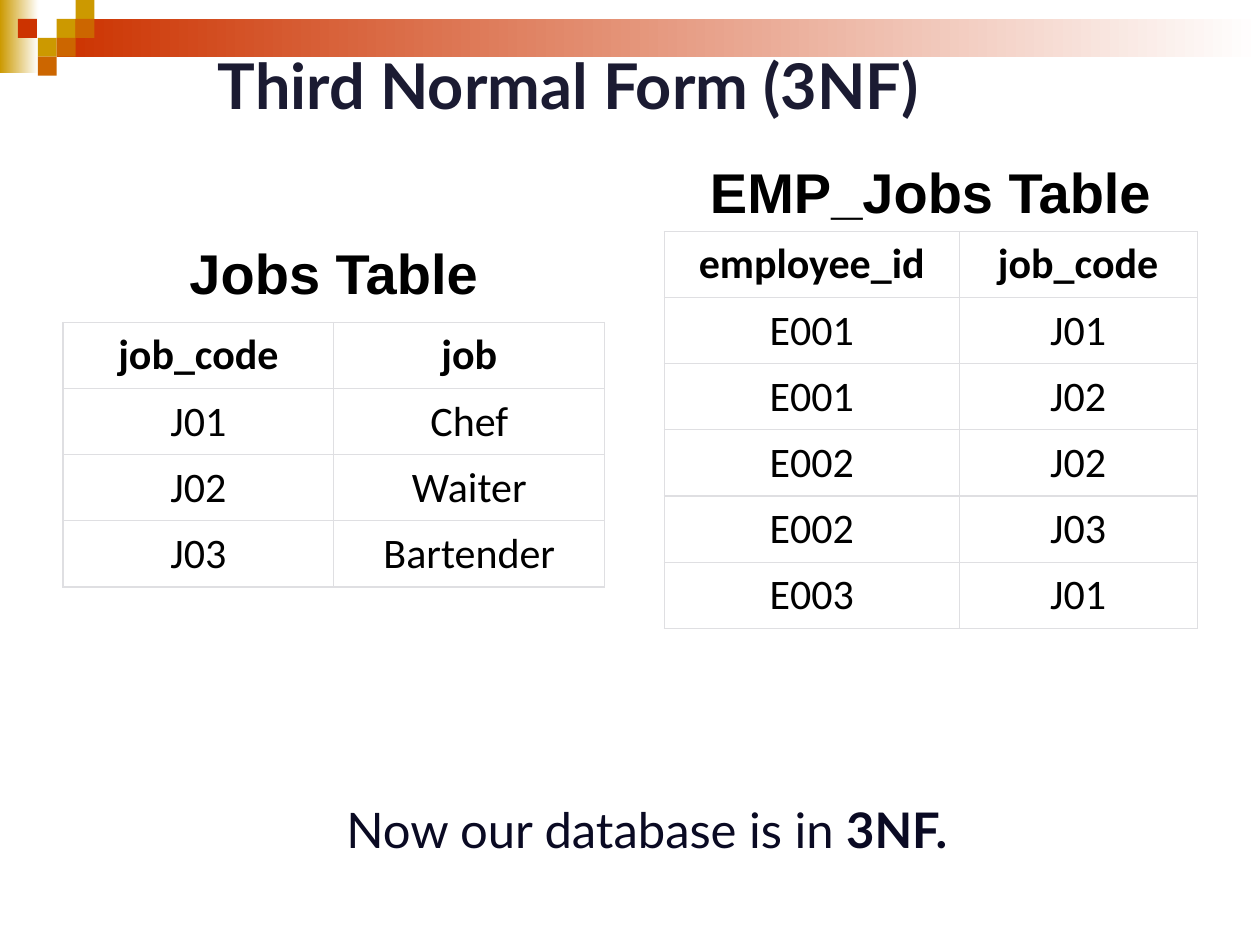
import pptx
import pptx.util
import pptx.dml.color
import pptx.enum.shapes
import pptx.enum.text
import pptx.oxml
import pptx.oxml.ns

Pt = pptx.util.Pt
RGBColor = pptx.dml.color.RGBColor
ALIGN = pptx.enum.text.PP_ALIGN

WHITE = RGBColor(0xFF, 0xFF, 0xFF)
BLACK = RGBColor(0x00, 0x00, 0x00)
GOLD = RGBColor(0xCC, 0x99, 0x00)
RED = RGBColor(0xCC, 0x33, 0x00)
ORANGE = RGBColor(0xCC, 0x66, 0x00)
TITLE_INK = RGBColor(0x1B, 0x1B, 0x32)
NOTE_INK = RGBColor(0x0A, 0x0A, 0x23)
BORDER = RGBColor(0xDF, 0xDF, 0xE2)

JOBS = [
    ("job_code", "job"),
    ("J01", "Chef"),
    ("J02", "Waiter"),
    ("J03", "Bartender"),
]
EMP_JOBS = [
    ("employee_id", "job_code"),
    ("E001", "J01"),
    ("E001", "J02"),
    ("E002", "J02"),
    ("E002", "J03"),
    ("E003", "J01"),
]


def add_block(s, x, y, w, h, color, fade=False):
    sp = s.shapes.add_shape(
        pptx.enum.shapes.MSO_SHAPE.RECTANGLE, Pt(x), Pt(y), Pt(w), Pt(h))
    sp.shadow.inherit = False
    sp.line.fill.background()
    if fade:
        sp.fill.gradient()
        sp.fill.gradient_angle = 0
        for stop, (position, tone) in zip(
                sp.fill.gradient_stops, ((0, color), (1, WHITE))):
            stop.position = position
            stop.color.rgb = tone
    else:
        sp.fill.solid()
        sp.fill.fore_color.rgb = color


def add_banner(s, x, y, w):
    side = 10.8
    add_block(s, x, y, 22, 42, GOLD, fade=True)
    add_block(s, x + 3 * side, y + side, w - 3 * side, 2 * side, RED, fade=True)
    squares = [
        (3, 1, GOLD), (4, 0, GOLD), (4, 1, ORANGE), (2, 2, GOLD),
        (0.95, 1, RED), (3, 2, ORANGE), (2, 3, ORANGE),
    ]
    for col, row, color in squares:
        add_block(s, x + col * side, y + row * side, side, side, color)


def add_text(s, x, y, w, h, runs, size, font, color, align=ALIGN.LEFT):
    sp = s.shapes.add_textbox(Pt(x), Pt(y), Pt(w), Pt(h))
    tf = sp.text_frame
    tf.word_wrap = False
    tf.auto_size = pptx.enum.text.MSO_AUTO_SIZE.SHAPE_TO_FIT_TEXT
    p = tf.paragraphs[0]
    p.alignment = align
    p.font.size = Pt(size)
    p.font.name = font
    p.font.color.rgb = color
    for text, bold in runs:
        r = p.add_run()
        r.text = text
        r.font.bold = bold


def set_borders(cell):
    tcPr = cell._tc.get_or_add_tcPr()
    for index, side in enumerate(("lnL", "lnR", "lnT", "lnB")):
        tcPr.insert(index, pptx.oxml.parse_xml(
            f'<a:{side} {pptx.oxml.ns.nsdecls("a")} w="{Pt(0.75)}">'
            f'<a:solidFill><a:srgbClr val="{BORDER}"/></a:solidFill></a:{side}>'))


def add_grid(s, x, y, widths, rows):
    row_height = 37.8
    table = s.shapes.add_table(
        len(rows), len(widths), Pt(x), Pt(y),
        Pt(sum(widths)), Pt(row_height * len(rows))).table
    table.first_row = False
    table.horz_banding = False
    for column, width in zip(table.columns, widths):
        column.width = Pt(width)
    for i, values in enumerate(rows):
        table.rows[i].height = Pt(row_height)
        for j, value in enumerate(values):
            cell = table.cell(i, j)
            cell.fill.background()
            cell.margin_left = cell.margin_right = Pt(9.36)
            cell.margin_top = cell.margin_bottom = Pt(4.32)
            set_borders(cell)
            p = cell.text_frame.paragraphs[0]
            p.alignment = ALIGN.CENTER
            r = p.add_run()
            r.text = value
            p.font.size = Pt(24)
            p.font.name = "Calibri"
            p.font.bold = i == 0
            p.font.color.rgb = BLACK


def add_titled_table(s, x, y, widths, rows, title, title_gap):
    add_grid(s, x, y, widths, rows)
    add_text(s, x, y - title_gap, sum(widths), 46, [(title, True)],
             32, "Arial", BLACK, ALIGN.CENTER)


def main():
    prs = pptx.Presentation()
    prs.slide_width = Pt(720)
    prs.slide_height = Pt(540)
    s = prs.slides.add_slide(prs.slide_layouts[6])
    add_banner(s, 0, 0, 720)
    add_text(s, 117.4, 23, 445, 51, [("Third Normal Form (3NF)", True)],
             36, "Lato", TITLE_INK)
    add_titled_table(s, 36, 184.3, (154.8, 154.8), JOBS, "Jobs Table", 51.8)
    add_titled_table(s, 379.6, 132.3, (168.5, 136), EMP_JOBS,
                     "EMP_Jobs Table", 46)
    add_text(s, 190.8, 453.6, 368.6, 41,
             [("Now our database is in ", False), ("3NF.", True)],
             28, "Lato", NOTE_INK)
    prs.save("out.pptx")


if __name__ == "__main__":
    main()
